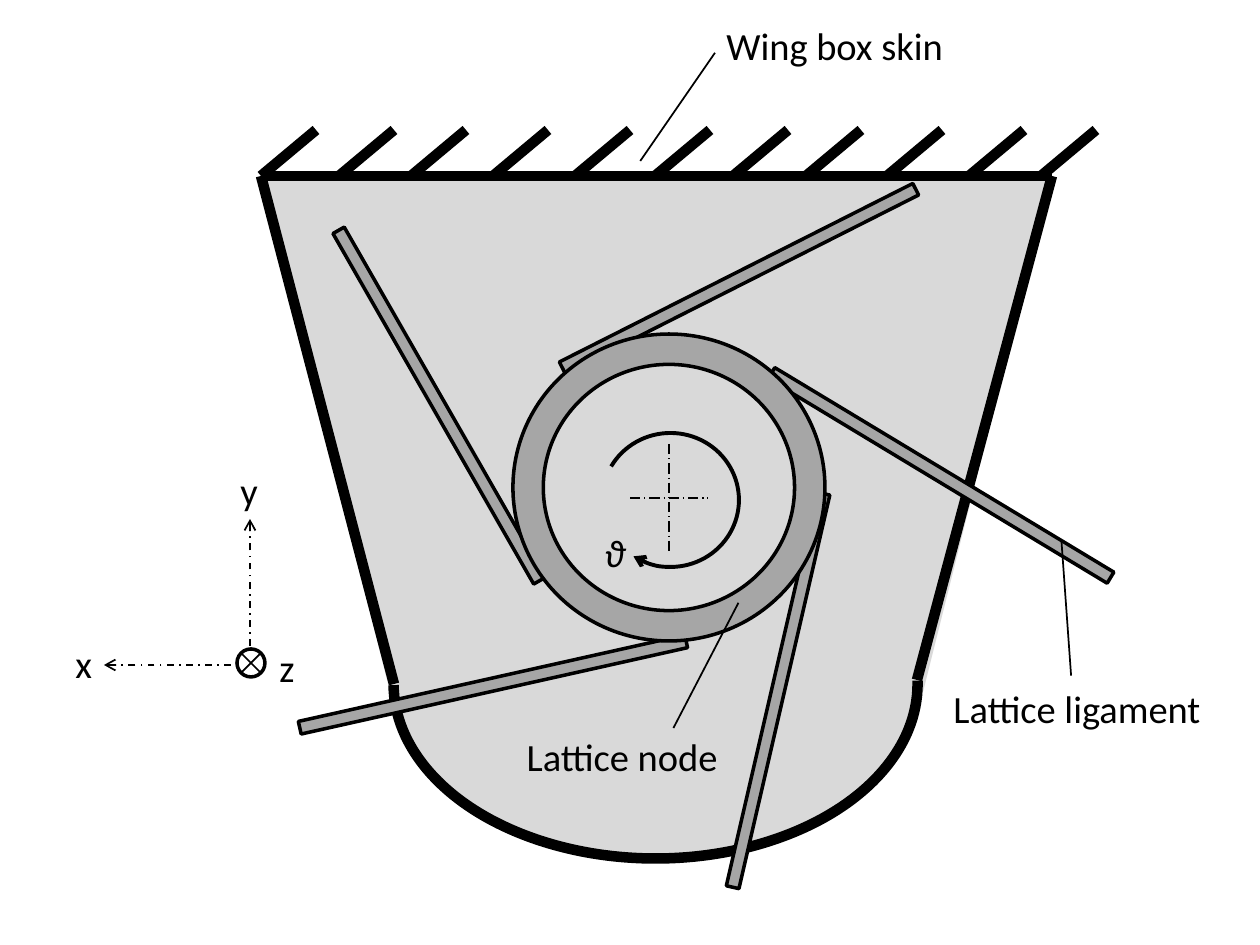
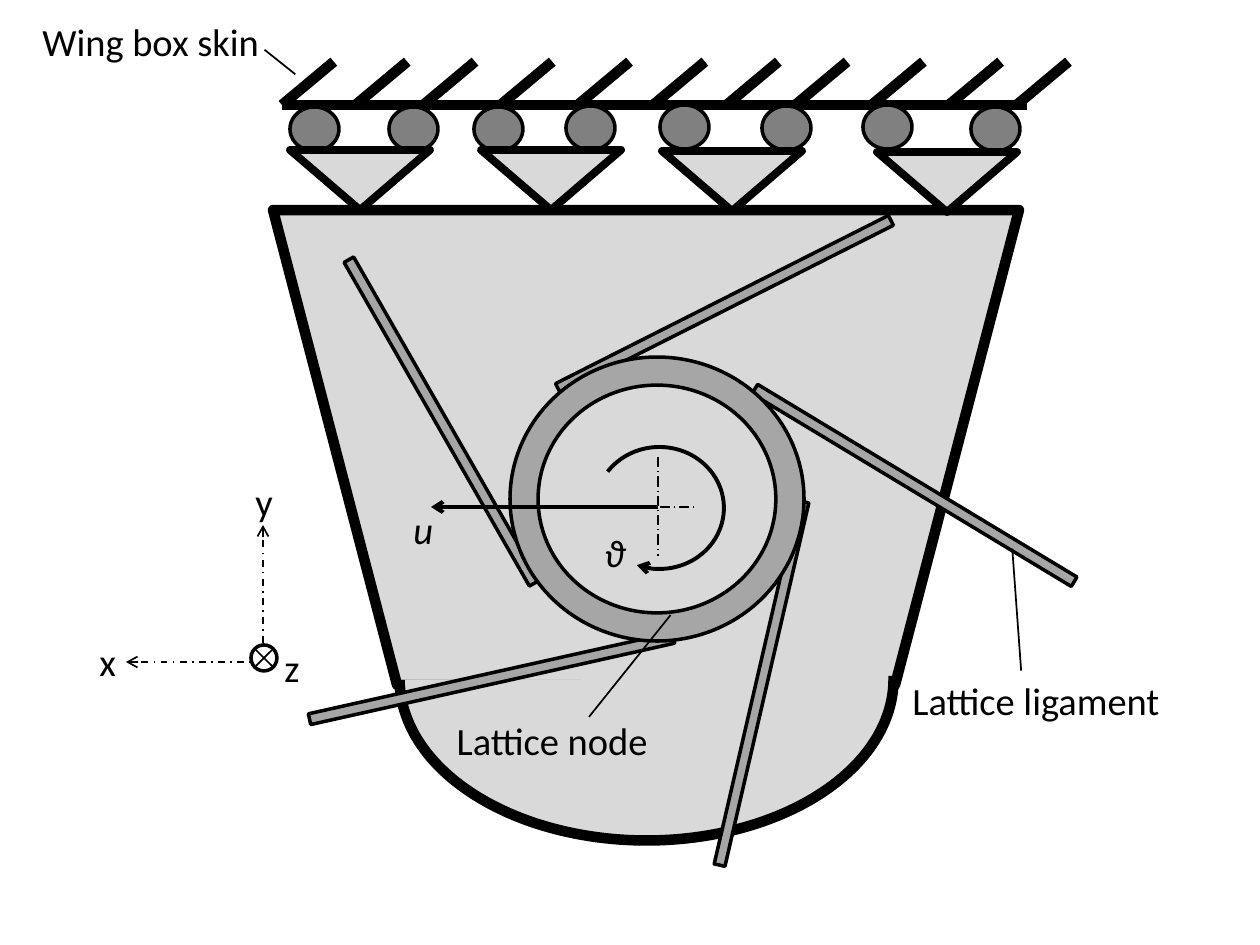
"""Build two slides that show a lattice node clamped to, or sliding on, a wing box skin."""
from lxml.etree import SubElement
from pptx import Presentation
from pptx.dml.color import RGBColor
from pptx.enum.dml import MSO_LINE
from pptx.enum.shapes import MSO_CONNECTOR, MSO_SHAPE
from pptx.enum.text import MSO_ANCHOR, MSO_AUTO_SIZE, PP_ALIGN
from pptx.oxml.ns import qn
from pptx.util import Emu, Pt

SCALE = 914400 / 126
SLIDE_WIDTH, SLIDE_HEIGHT = 1260, 945
FONT_NAME, FONT_SIZE = "Calibri", 22

BLACK = RGBColor(0x00, 0x00, 0x00)
WHITE = RGBColor(0xFF, 0xFF, 0xFF)
BODY_GREY = RGBColor(0xD9, 0xD9, 0xD9)
LATTICE_GREY = RGBColor(0xA6, 0xA6, 0xA6)
ROLLER_GREY = RGBColor(0x80, 0x80, 0x80)

HEAVY, TRIANGLE_LINE, ARROW, OUTLINE, AXIS, HAIRLINE = 6, 4.5, 2.25, 2, 1, 0.75
LIGAMENT_ANGLES = (103, 167.4, 240.2, 333.2, 31.1)
SKIN_WIDTH = 791
HATCH_OFFSETS = (0, 78, 150, 232, 314, 394, 472, 545, 626, 708, 780)
HATCH_RUN, HATCH_RISE = 55, 46
BOWL_ANGLES = (269.26, 89.75)
LIGAMENT_POINTER = (0.14, 0.408, -1.33, 0.378)
NODE_POINTER = (0.188, 0.779, -1.189, 1.033)


def px(length):
    """Turn px into EMU."""
    return Emu(round(length * SCALE))


def add_arrowhead(item):
    """Put an open arrowhead on the end of a line or arc."""
    line = item._element.spPr.find(qn("a:ln"))
    SubElement(line, qn("a:tailEnd"), type="arrow")


def add_line(slide, start, end, weight, dash=None, arrow=False):
    """Draw a straight black line between two points."""
    connector = slide.shapes.add_connector(
        MSO_CONNECTOR.STRAIGHT, *(px(value) for value in (*start, *end)))
    connector.line.color.rgb = BLACK
    connector.line.width = Pt(weight)
    if dash is not None:
        connector.line.dash_style = dash
    if arrow:
        add_arrowhead(connector)
    SubElement(connector._element.spPr, qn("a:effectLst"))


def add_shape(slide, kind, box, fill=None, weight=None, rotation=0, adjustments=()):
    """Draw a preset shape with an optional fill and black outline."""
    shape = slide.shapes.add_shape(kind, *(px(value) for value in box))
    shape.shadow.inherit = False
    shape.rotation = rotation
    for index, value in enumerate(adjustments):
        shape.adjustments[index] = value
    if fill is None:
        shape.fill.background()
    else:
        shape.fill.solid()
        shape.fill.fore_color.rgb = fill
    if weight is None:
        shape.line.fill.background()
    else:
        shape.line.color.rgb = BLACK
        shape.line.width = Pt(weight)
    return shape


def add_arc(slide, box, angles, weight, fill=None, rotation=0):
    """Draw an arc between two angles in degrees."""
    return add_shape(slide, MSO_SHAPE.ARC, box, fill, weight, rotation,
                     [angle * 0.6 for angle in angles])


def write(frame, text, italic=False, alignment=PP_ALIGN.LEFT):
    """Write one run of label text into a text frame."""
    frame.word_wrap = True
    paragraph = frame.paragraphs[0]
    paragraph.alignment = alignment
    run = paragraph.add_run()
    run.text = text
    run.font.name = FONT_NAME
    run.font.size = Pt(FONT_SIZE)
    run.font.italic = italic
    run.font.color.rgb = BLACK


def add_symbol(slide, text, position, width=44, italic=False):
    """Place a one-letter symbol."""
    box = slide.shapes.add_textbox(*(px(value) for value in (*position, width, 59)))
    box.text_frame.auto_size = MSO_AUTO_SIZE.SHAPE_TO_FIT_TEXT
    write(box.text_frame, text, italic)


def add_callout(slide, text, box, pointer, alignment=PP_ALIGN.LEFT):
    """Add a label with a leader line."""
    callout = add_shape(slide, MSO_SHAPE.LINE_CALLOUT_1_NO_BORDER, box,
                        weight=AXIS, adjustments=pointer)
    callout.text_frame.vertical_anchor = MSO_ANCHOR.MIDDLE
    write(callout.text_frame, text, alignment=alignment)


def add_skin(slide, left, top, width):
    """Draw the hatched wing box skin."""
    ratio = width / SKIN_WIDTH
    add_line(slide, (left, top), (left + width, top), HEAVY)
    for offset in HATCH_OFFSETS:
        foot = left + offset * ratio
        add_line(slide, (foot, top),
                 (foot + HATCH_RUN * ratio, top - HATCH_RISE * ratio), HEAVY)


def add_lattice(slide, ligaments, ligament_sizes, node, cross_center, cross_x, cross_y):
    """Draw the ligaments, the centre lines and the ring node."""
    for position, size, angle in zip(ligaments, ligament_sizes, LIGAMENT_ANGLES):
        add_shape(slide, MSO_SHAPE.RECTANGLE, (*position, *size),
                  LATTICE_GREY, OUTLINE, angle)
    center_x, center_y = cross_center
    for start, end in (((center_x, cross_y[0]), (center_x, cross_y[1])),
                       ((cross_x[0], center_y), (cross_x[1], center_y))):
        add_line(slide, start, end, HAIRLINE, MSO_LINE.LONG_DASH_DOT)
    add_shape(slide, MSO_SHAPE.DONUT, node, LATTICE_GREY, OUTLINE, adjustments=[0.099])


def add_rotation(slide, box, angles):
    """Draw the rotation arrow with its symbol."""
    add_arrowhead(add_arc(slide, box, angles, ARROW))
    add_symbol(slide, "ϑ", (592, 523), 76, italic=True)


def add_axes(slide, origin, reach, ring_box, letters):
    """Draw the x and y axes and the z axis pointing into the page."""
    x, y = origin
    for tip in ((x - reach, y), (x, y - reach)):
        add_line(slide, origin, tip, AXIS, MSO_LINE.DASH_DOT, arrow=True)
    add_shape(slide, MSO_SHAPE.OVAL, ring_box, WHITE, OUTLINE)
    left, top, width, height = ring_box
    inset = 5
    near_x, far_x = left + inset, left + width - inset
    near_y, far_y = top + inset, top + height - inset
    add_line(slide, (near_x, near_y), (far_x, far_y), AXIS)
    add_line(slide, (near_x, far_y), (far_x, near_y), AXIS)
    for letter, position in letters.items():
        add_symbol(slide, letter, position)


def add_lattice_labels(slide, ligament_box, node_box):
    """Label the ligament and the node."""
    add_callout(slide, "Lattice ligament", ligament_box, LIGAMENT_POINTER)
    add_callout(slide, "Lattice node", node_box, NODE_POINTER, PP_ALIGN.RIGHT)


def build_clamped(slide):
    """Build the body fixed directly to the skin."""
    add_shape(slide, MSO_SHAPE.TRAPEZOID, (261, 176, 791, 515), BODY_GREY, rotation=180)
    add_line(slide, (261, 176), (394, 684), HEAVY)
    add_line(slide, (1052, 176), (917, 680), HEAVY)
    add_arc(slide, (481, 422, 349, 524), BOWL_ANGLES, HEAVY, BODY_GREY, 90)
    long, short = (404, 13), (396, 13)
    add_lattice(slide, ((576, 684), (295, 678), (237, 399), (541, 272), (743, 469)),
                (long, short, long, short, short), (513, 334, 312, 307),
                (669, 498), (630, 708), (444, 551))
    add_skin(slide, 261, 176, SKIN_WIDTH)
    add_rotation(slide, (602, 433, 137, 134), (209.51, 123.3))
    add_axes(slide, (250, 665), 146, (237, 649, 28, 28),
             {"y": (228, 461), "x": (63, 634), "z": (267, 638)})
    add_callout(slide, "Wing box skin", (714, 0, 256, 91), (0.581, 0.004, 1.77, -0.288))
    add_lattice_labels(slide, (941, 663, 319, 91), (474, 711, 256, 91))


def build_sliding(slide):
    """Build the body carried on rollers below the skin."""
    add_shape(slide, MSO_SHAPE.TRAPEZOID, (273, 210, 746, 475), BODY_GREY, HEAVY,
              180, [0.261])
    add_arc(slide, (485, 432, 323, 494), BOWL_ANGLES, HEAVY, BODY_GREY, 90)
    add_lattice(slide, ((575, 678), (305, 673), (255, 416), (538, 299), (728, 480)),
                [(373, 11)] * 5, (510, 357, 294, 284),
                (658, 507), (621, 694), (457, 556))
    add_skin(slide, 282, 105, 745)
    add_rotation(slide, (595, 447, 129, 122), (215.08, 111.56))
    add_line(slide, (273, 210), (1018, 210), HEAVY)
    for left, top in ((290, 107), (389, 107), (474, 107), (566, 106),
                      (660, 105), (762, 106), (863, 105), (971, 107)):
        add_shape(slide, MSO_SHAPE.OVAL, (left, top, 49, 44), ROLLER_GREY, OUTLINE)
    add_axes(slide, (263, 662), 137, (251, 645, 26, 26),
             {"y": (243, 472), "x": (87, 632), "z": (272, 638)})
    add_line(slide, (658, 507), (431, 507), ARROW, arrow=True)
    add_symbol(slide, "u", (401, 500), 76, italic=True)
    for left, top in ((290, 150), (481, 150), (662, 151), (877, 152)):
        add_shape(slide, MSO_SHAPE.ISOSCELES_TRIANGLE, (left, top, 140, 60),
                  BODY_GREY, TRIANGLE_LINE, 180)
    add_callout(slide, "Wing box skin", (30, 0, 362, 83), (0.6, 0.648, 0.895, 0.733))
    add_lattice_labels(slide, (900, 659, 297, 83), (339, 703, 321, 74))


def main():
    """Create the presentation and save it."""
    presentation = Presentation()
    presentation.slide_width = px(SLIDE_WIDTH)
    presentation.slide_height = px(SLIDE_HEIGHT)
    for build in (build_clamped, build_sliding):
        build(presentation.slides.add_slide(presentation.slide_layouts[6]))
    presentation.save("out.pptx")


if __name__ == "__main__":
    main()
